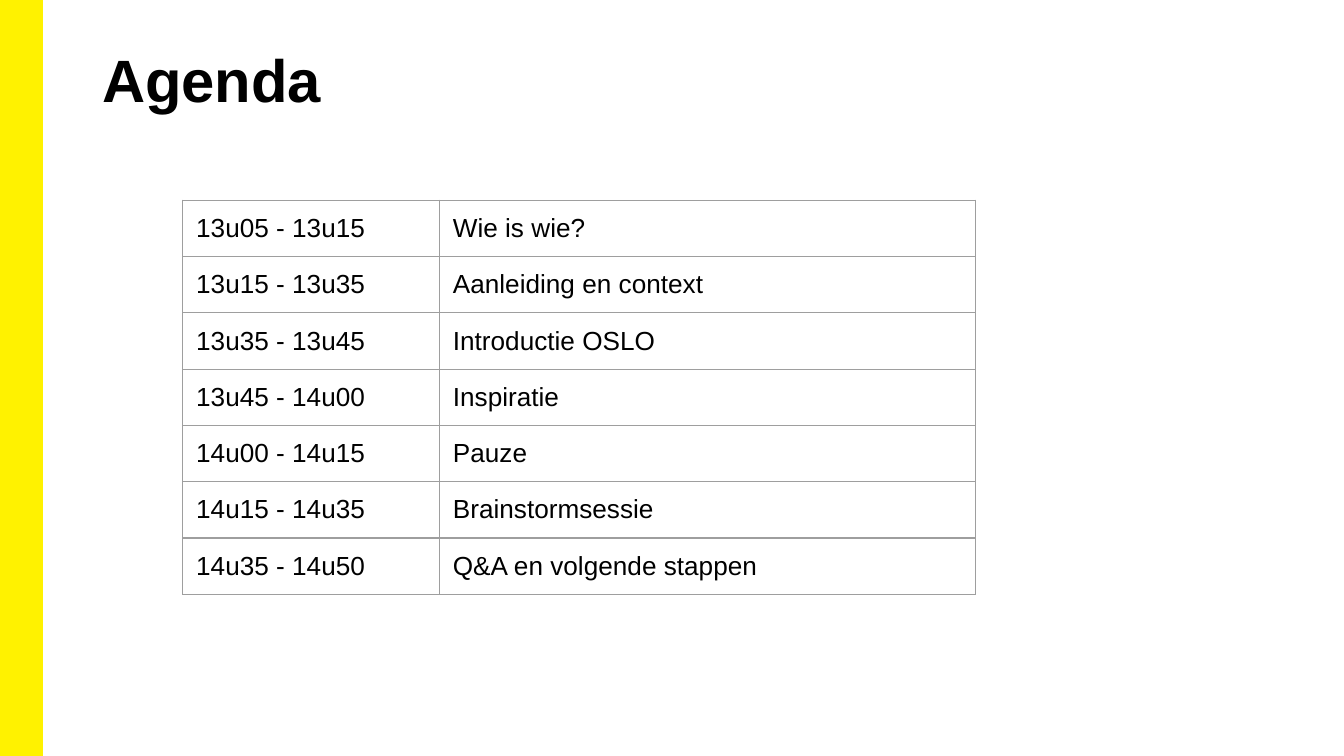
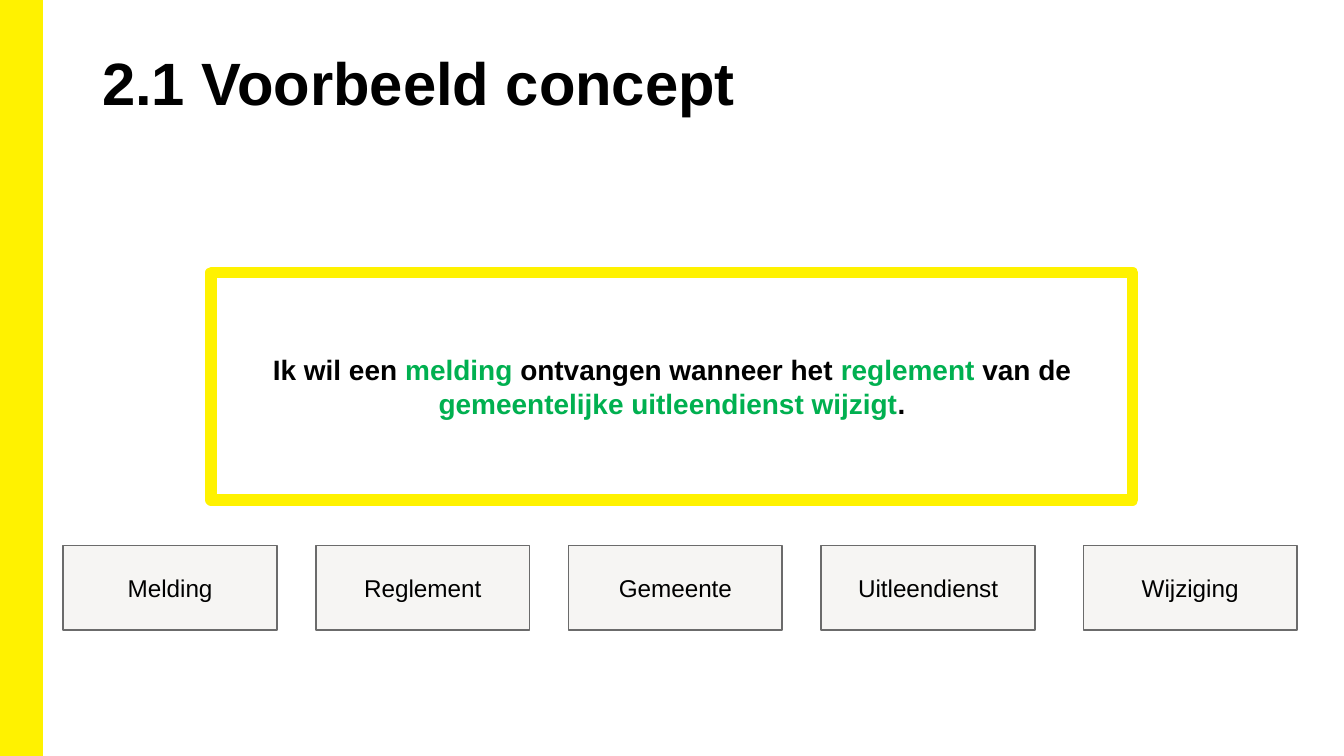
from dataclasses import dataclass

from lxml import etree
from pptx import Presentation, util as u
from pptx.dml.color import RGBColor
from pptx.enum import shapes, text
from pptx.oxml.ns import qn


@dataclass(frozen=True)
class Theme:
    """Colours, font and type sizes of the deck."""
    font: str = "Arial"
    ink: str = "000000"
    paper: str = "FFFFFF"
    accent: str = "FFF200"
    mark: str = "00B050"
    chip: str = "F6F5F3"
    edge: str = "6B6B6B"
    grid: str = "9E9E9E"
    title: int = 32
    quote: int = 15
    cell: int = 14
    label: int = 13


LOOK = Theme()
WIDE = 10
HIGH = WIDE * 9 / 16
AGENDA = [
    ("13u05 - 13u15", "Wie is wie?"),
    ("13u15 - 13u35", "Aanleiding en context"),
    ("13u35 - 13u45", "Introductie OSLO"),
    ("13u45 - 14u00", "Inspiratie"),
    ("14u00 - 14u15", "Pauze"),
    ("14u15 - 14u35", "Brainstormsessie"),
    ("14u35 - 14u50", "Q&A en volgende stappen"),
]
QUOTE = [
    ("Ik wil een ", LOOK.ink),
    ("melding", LOOK.mark),
    (" ontvangen wanneer het ", LOOK.ink),
    ("reglement", LOOK.mark),
    (" van de ", LOOK.ink),
    ("gemeentelijke uitleendienst wijzigt", LOOK.mark),
    (".", LOOK.ink),
]
CHIPS = ["Melding", "Reglement", "Gemeente", "Uitleendienst", "Wijziging"]


def inches(box):
    """Turn a box of plain numbers into lengths."""
    return [u.Inches(n) for n in box]


def write(para, runs, size, bold=False):
    """Add (words, colour) runs to a paragraph."""
    for words, tint in runs:
        run = para.add_run()
        run.text = words
        font = run.font
        font.name, font.size, font.bold = LOOK.font, u.Pt(size), bold
        font.color.rgb = RGBColor.from_string(tint)


def inset(item, across, down):
    """Set the margins of a text frame or a table cell."""
    item.margin_left = item.margin_right = u.Inches(across)
    item.margin_top = item.margin_bottom = u.Inches(down)


def panel(slide, box, fill, edge, weight):
    """Draw a flat rectangle."""
    shape = slide.shapes.add_shape(shapes.MSO_SHAPE.RECTANGLE, *inches(box))
    shape.shadow.inherit = False
    shape.fill.solid()
    shape.fill.fore_color.rgb = RGBColor.from_string(fill)
    shape.line.color.rgb = RGBColor.from_string(edge)
    shape.line.width = u.Pt(weight)
    return shape


def caption(shape, runs, size, down, bold=False):
    """Centre one paragraph in a panel."""
    frame = shape.text_frame
    frame.word_wrap = True
    frame.vertical_anchor = text.MSO_ANCHOR.MIDDLE
    inset(frame, 0.1, down)
    para = frame.paragraphs[0]
    para.alignment = text.PP_ALIGN.CENTER
    write(para, runs, size, bold)


def heading(slide, box, words):
    """Place and format the title."""
    title = slide.shapes.title
    title.left, title.top, title.width, title.height = inches(box)
    frame = title.text_frame
    frame.word_wrap = True
    frame.auto_size = text.MSO_AUTO_SIZE.NONE
    frame.vertical_anchor = text.MSO_ANCHOR.TOP
    inset(frame, 0.07, 0.04)
    para = frame.paragraphs[0]
    para.alignment = text.PP_ALIGN.LEFT
    write(para, [(words, LOOK.ink)], LOOK.title, True)


def rule(cell):
    """Give a cell thin lines on all four sides."""
    props = cell._tc.get_or_add_tcPr()
    for side in ("lnL", "lnR", "lnT", "lnB"):
        line = etree.SubElement(props, qn("a:" + side), w=str(u.Pt(0.75)))
        fill = etree.SubElement(line, qn("a:solidFill"))
        etree.SubElement(fill, qn("a:srgbClr"), val=LOOK.grid)


def schedule(slide, box, rows, split):
    """Draw the timetable, with the first column split wide."""
    frame = slide.shapes.add_table(len(rows), 2, *inches(box))
    table = frame.table
    table.first_row = table.horz_banding = False
    table.columns[0].width = u.Inches(split)
    table.columns[1].width = u.Inches(box[2] - split)
    for r, row in enumerate(rows):
        table.rows[r].height = u.Inches(0.38)
        for c, words in enumerate(row):
            cell = table.cell(r, c)
            rule(cell)
            cell.fill.background()
            inset(cell, 0.1, 0.1)
            write(cell.text_frame.paragraphs[0], [(words, LOOK.ink)], LOOK.cell)
    table.rows[len(rows) - 1].height = u.Inches(0.4)
    frame.height = u.Inches(box[3])


def chips(slide, box, names):
    """Draw a row of labels, the last one flush right."""
    left, top, width, height = box
    wide, step = 1.59, 1.88
    spots = [left + i * step for i in range(len(names) - 1)]
    spots.append(left + width - wide)
    for x, name in zip(spots, names):
        chip = panel(slide, (x, top, wide, height), LOOK.chip, LOOK.edge, 0.75)
        caption(chip, [(name, LOOK.ink)], LOOK.label, 0.1)


def agenda(slide):
    """Fill the agenda slide."""
    heading(slide, (0.69, 0.28, 8.62, 0.81), "Agenda")
    schedule(slide, (1.36, 1.49, 5.9, 3.03), AGENDA, 1.91)


def concept(slide):
    """Fill the example slide."""
    heading(slide, (0.69, 0.3, 8.97, 1.38), "2.1 Voorbeeld concept")
    quote = panel(slide, (1.57, 2.03, 6.86, 1.69), LOOK.paper, LOOK.accent, 6)
    caption(quote, QUOTE, LOOK.quote, 0.05, True)
    chips(slide, (0.47, 4.06, 9.18, 0.63), CHIPS)


def main():
    """Build and save the deck."""
    deck = Presentation()
    deck.slide_width, deck.slide_height = inches((WIDE, HIGH))
    plain = deck.slide_layouts[5]
    pages = [deck.slides.add_slide(plain) for _ in range(2)]
    band = panel(pages[0], (0, 0, 0.31, HIGH), LOOK.accent, LOOK.accent, 1)
    plain.shapes.element.append(band.element)
    for page, fill in zip(pages, (agenda, concept)):
        fill(page)
    deck.save("out.pptx")


if __name__ == "__main__":
    main()
